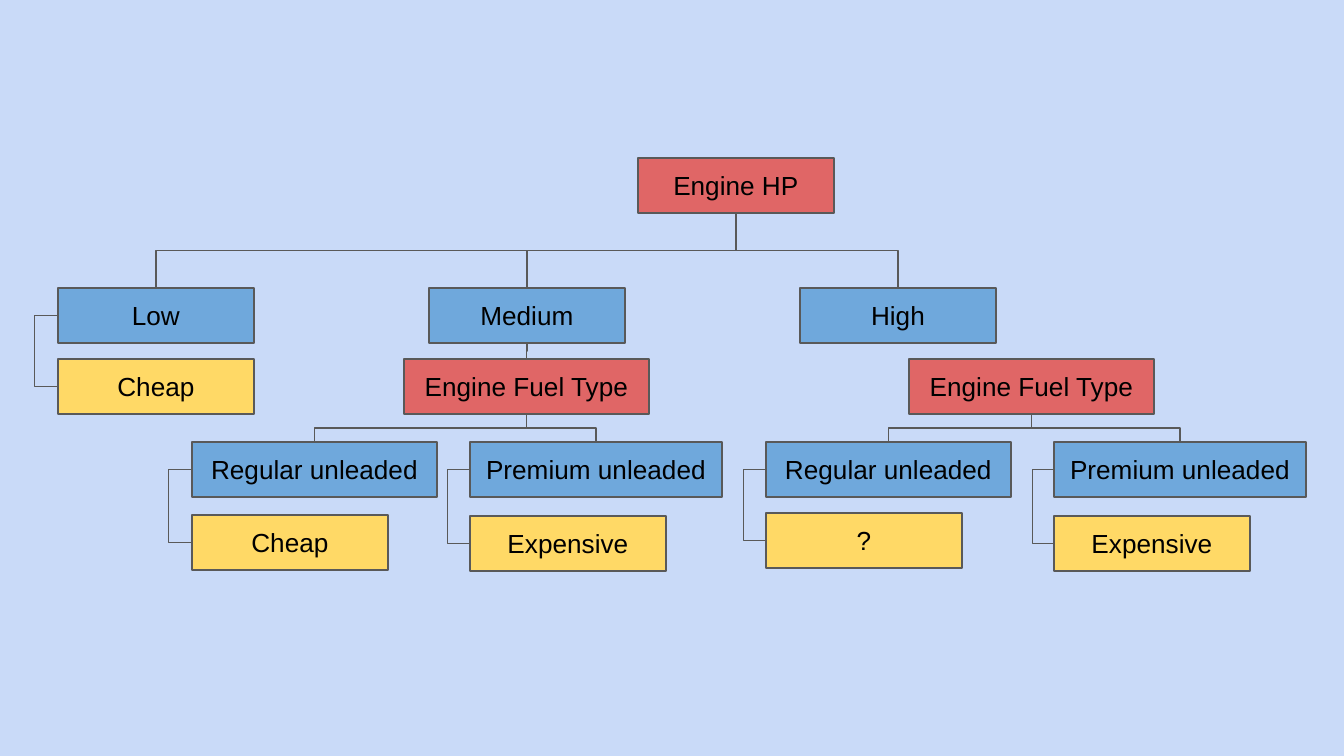
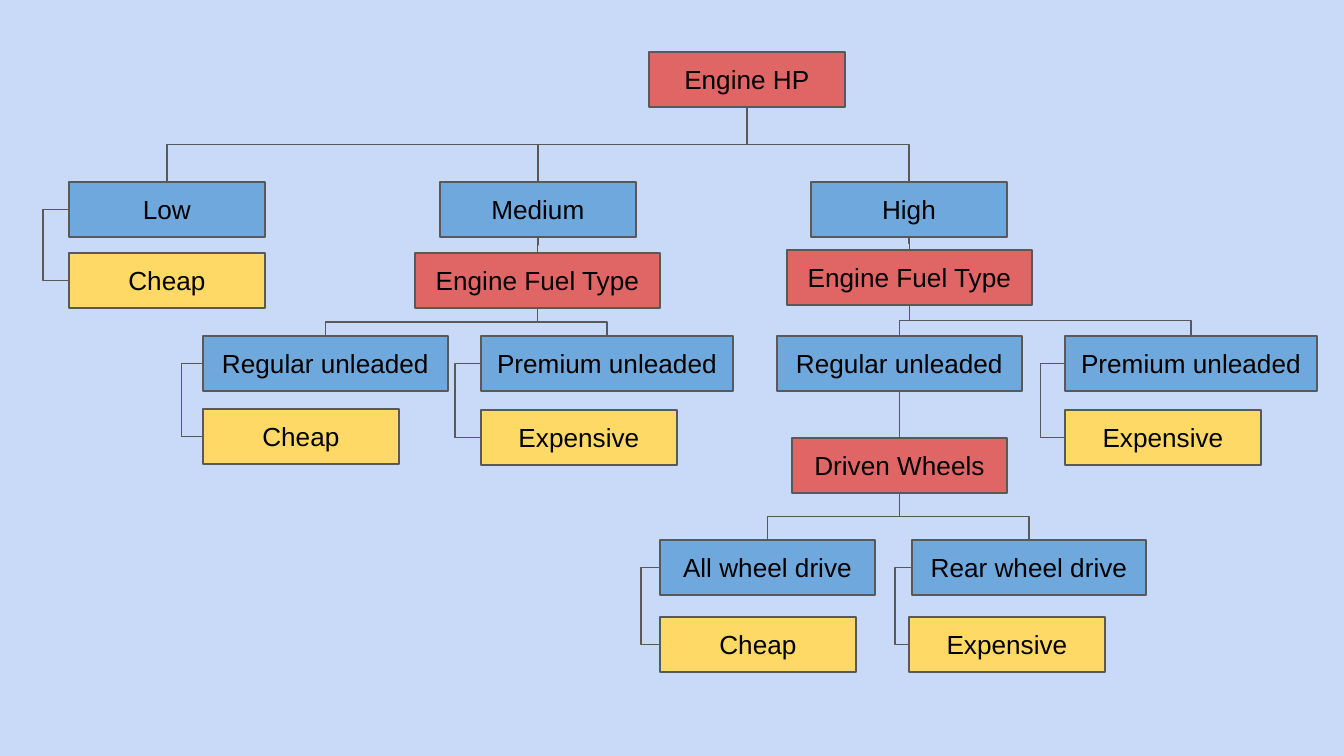
import pptx
import pptx.util
import pptx.dml.color
import pptx.enum.shapes
import pptx.enum.text
import pptx.oxml.ns
import lxml.etree

# Shared look; lengths are pixels at 134.4 to the inch
SCALE = 914400 / 134.4
SLIDE_W, SLIDE_H = 1344, 756
COLOURS = {"background": "C9DAF8", "feature": "E06666", "value": "6FA8DC",
           "price": "FFD966", "line": "595959", "text": "000000"}
FONT, FONT_SIZE, LINE_WIDTH = "Arial", 14, 0.75
BOX_H, NARROW, WIDE, WIDEST = 55, 196, 245, 252
THIN = 0.09  # width of a side link whose two ends are aligned

# Boxes both trees have: key -> (text, role, left, top, width)
COMMON_BOXES = {
    "hp": ("Engine HP", "feature", 638, 158, NARROW),
    "low": ("Low", "value", 58, 288, NARROW),
    "medium": ("Medium", "value", 429, 288, NARROW),
    "high": ("High", "value", 800, 288, NARROW),
    "low price": ("Cheap", "price", 58, 359, NARROW),
    "medium fuel": ("Engine Fuel Type", "feature", 404, 359, WIDE),
    "medium regular": ("Regular unleaded", "value", 192, 442, WIDE),
    "medium regular price": ("Cheap", "price", 192, 515, NARROW),
    "medium premium": ("Premium unleaded", "value", 470, 442, WIDEST),
    "medium premium price": ("Expensive", "price", 470, 516, NARROW),
    "high regular": ("Regular unleaded", "value", 766, 442, WIDE),
    "high premium": ("Premium unleaded", "value", 1054, 442, WIDEST),
    "high premium price": ("Expensive", "price", 1054, 516, NARROW),
}
# Parent -> children hanging below it
COMMON_DROPS = {
    "hp": ["low", "medium", "high"],
    "medium": ["medium fuel"],
    "medium fuel": ["medium regular", "medium premium"],
    "high fuel": ["high regular", "high premium"],
}

# Per slide: shift of the common boxes, own boxes, own drops,
# and side links as value -> how far the link reaches left of it
TREES = [
    {"shift": (0, 0),
     "boxes": {
         "high fuel": ("Engine Fuel Type", "feature", 909, 359, WIDE),
         "high regular price": ("?", "price", 766, 513, NARROW)},
     "drops": {},
     "sides": {"low": 20, "medium regular": 20, "medium premium": 19,
               "high regular": 19, "high premium": 18}},
    {"shift": (11, -106),
     "boxes": {
         "high fuel": ("Engine Fuel Type", "feature", 787, 250, WIDE),
         "wheels": ("Driven Wheels", "feature", 792, 438, 215),
         "all wheel": ("All wheel drive", "value", 660, 540, 215),
         "rear wheel": ("Rear wheel drive", "value", 912, 540, 234),
         "all wheel price": ("Cheap", "price", 660, 617, NARROW),
         "rear wheel price": ("Expensive", "price", 909, 617, NARROW)},
     "drops": {"high": ["high fuel"], "high regular": ["wheels"],
               "wheels": ["all wheel", "rear wheel"]},
     "sides": {"low": 22, "medium regular": 18, "medium premium": 22,
               "high premium": 21, "all wheel": 16, "rear wheel": 17}},
]


def emu(pixels):
    return pptx.util.Emu(round(pixels * SCALE))


def rgb(role):
    return pptx.dml.color.RGBColor.from_string(COLOURS[role])


def style_line(line):
    line.color.rgb = rgb("line")
    line.width = pptx.util.Pt(LINE_WIDTH)


def add_box(slide, text, role, left, top, width):
    box = slide.shapes.add_shape(
        pptx.enum.shapes.MSO_SHAPE.RECTANGLE,
        emu(left), emu(top), emu(width), emu(BOX_H))
    box.shadow.inherit = False
    box.fill.solid()
    box.fill.fore_color.rgb = rgb(role)
    style_line(box.line)
    frame = box.text_frame
    frame.word_wrap = True
    frame.vertical_anchor = pptx.enum.text.MSO_ANCHOR.MIDDLE
    frame.margin_left = frame.margin_right = pptx.util.Inches(0.1)
    frame.margin_top = frame.margin_bottom = pptx.util.Inches(0.1)
    paragraph = frame.paragraphs[0]
    paragraph.text = text
    paragraph.alignment = pptx.enum.text.PP_ALIGN.CENTER
    paragraph.font.name = FONT
    paragraph.font.size = pptx.util.Pt(FONT_SIZE)
    paragraph.font.color.rgb = rgb("text")


def add_elbow(slide, x1, y1, x2, y2, bend=0.5, rotation=0):
    elbow = slide.shapes.add_connector(
        pptx.enum.shapes.MSO_CONNECTOR.ELBOW,
        emu(x1), emu(y1), emu(x2), emu(y2))
    style_line(elbow.line)
    properties = elbow.element.spPr
    qn = pptx.oxml.ns.qn
    lxml.etree.SubElement(properties, qn("a:effectLst"))
    guides = properties.find(qn("a:prstGeom")).find(qn("a:avLst"))
    lxml.etree.SubElement(guides, qn("a:gd"), name="adj1",
                          fmla=f"val {round(bend * 100000)}")
    if rotation:
        properties.find(qn("a:xfrm")).set("rot", str(rotation * 60000))


def add_drop(slide, parent, child):
    """Down, across and down again: a sideways elbow turned upright."""
    x1, y1 = parent[2] + parent[4] / 2, parent[3] + BOX_H
    x2, y2 = child[2] + child[4] / 2, child[3]
    middle_x, middle_y = (x1 + x2) / 2, (y1 + y2) / 2
    rightward = x2 >= x1
    half_w = (y2 - y1) / 2 * (1 if rightward else -1)
    half_h = abs(x2 - x1) / 2
    add_elbow(slide, middle_x + half_w, middle_y - half_h,
              middle_x - half_w, middle_y + half_h,
              rotation=270 if rightward else 90)


def add_side(slide, value, price, reach):
    """Out to the left of a value and back in to its price."""
    x1, x2 = value[2], price[2]
    if x1 == x2:
        x2 += THIN
    add_elbow(slide, x1, value[3] + BOX_H / 2, x2, price[3] + BOX_H / 2,
              bend=-reach / (x2 - x1))


# Build the trees
deck = pptx.Presentation()
deck.slide_width, deck.slide_height = emu(SLIDE_W), emu(SLIDE_H)

for tree in TREES:
    slide = deck.slides.add_slide(deck.slide_layouts[6])
    slide.background.fill.solid()
    slide.background.fill.fore_color.rgb = rgb("background")

    dx, dy = tree["shift"]
    boxes = {key: (text, role, left + dx, top + dy, width)
             for key, (text, role, left, top, width) in COMMON_BOXES.items()}
    boxes.update(tree["boxes"])
    for box in boxes.values():
        add_box(slide, *box)

    for parent, children in {**COMMON_DROPS, **tree["drops"]}.items():
        for child in children:
            add_drop(slide, boxes[parent], boxes[child])
    for value, reach in tree["sides"].items():
        add_side(slide, boxes[value], boxes[value + " price"], reach)

deck.save("out.pptx")
